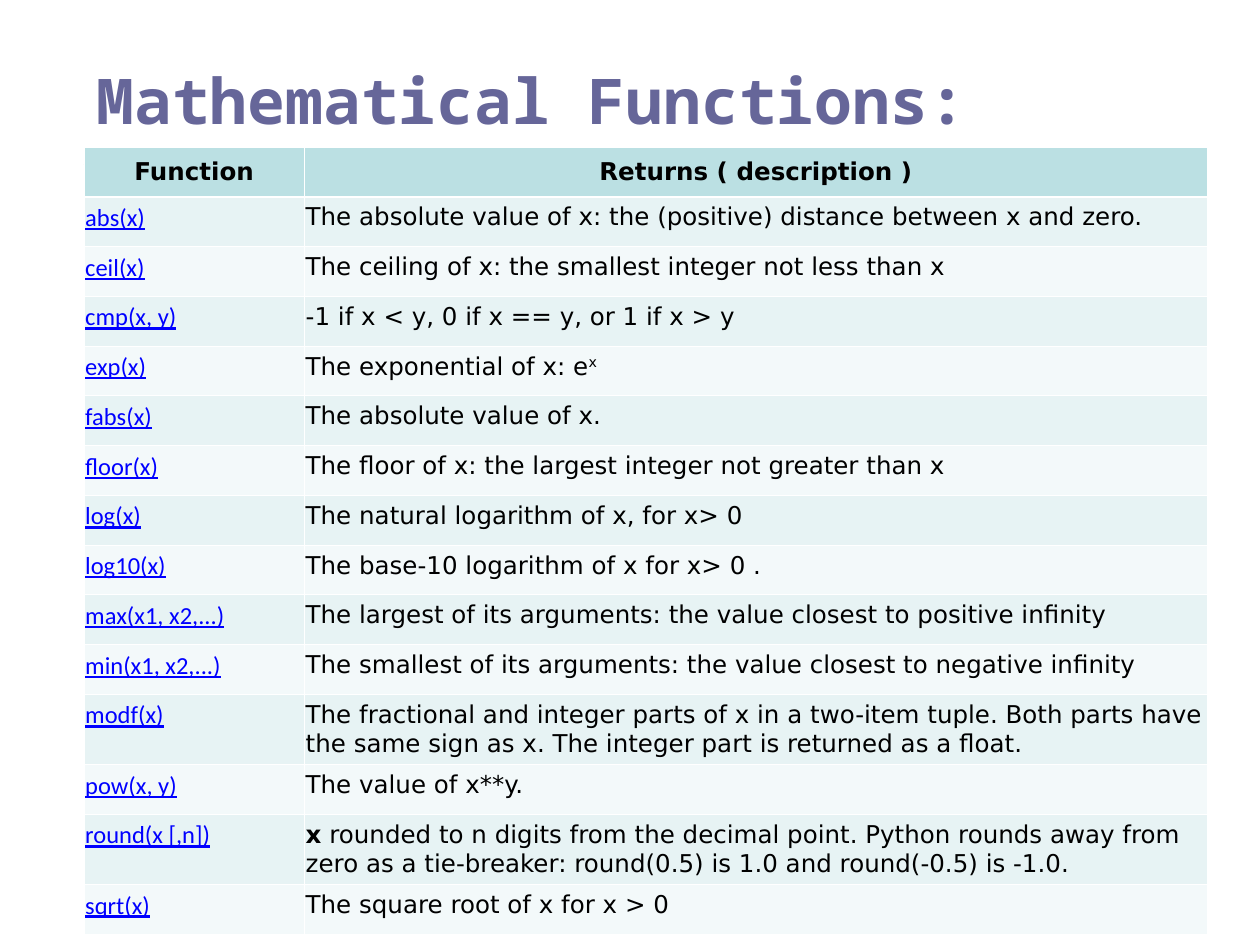
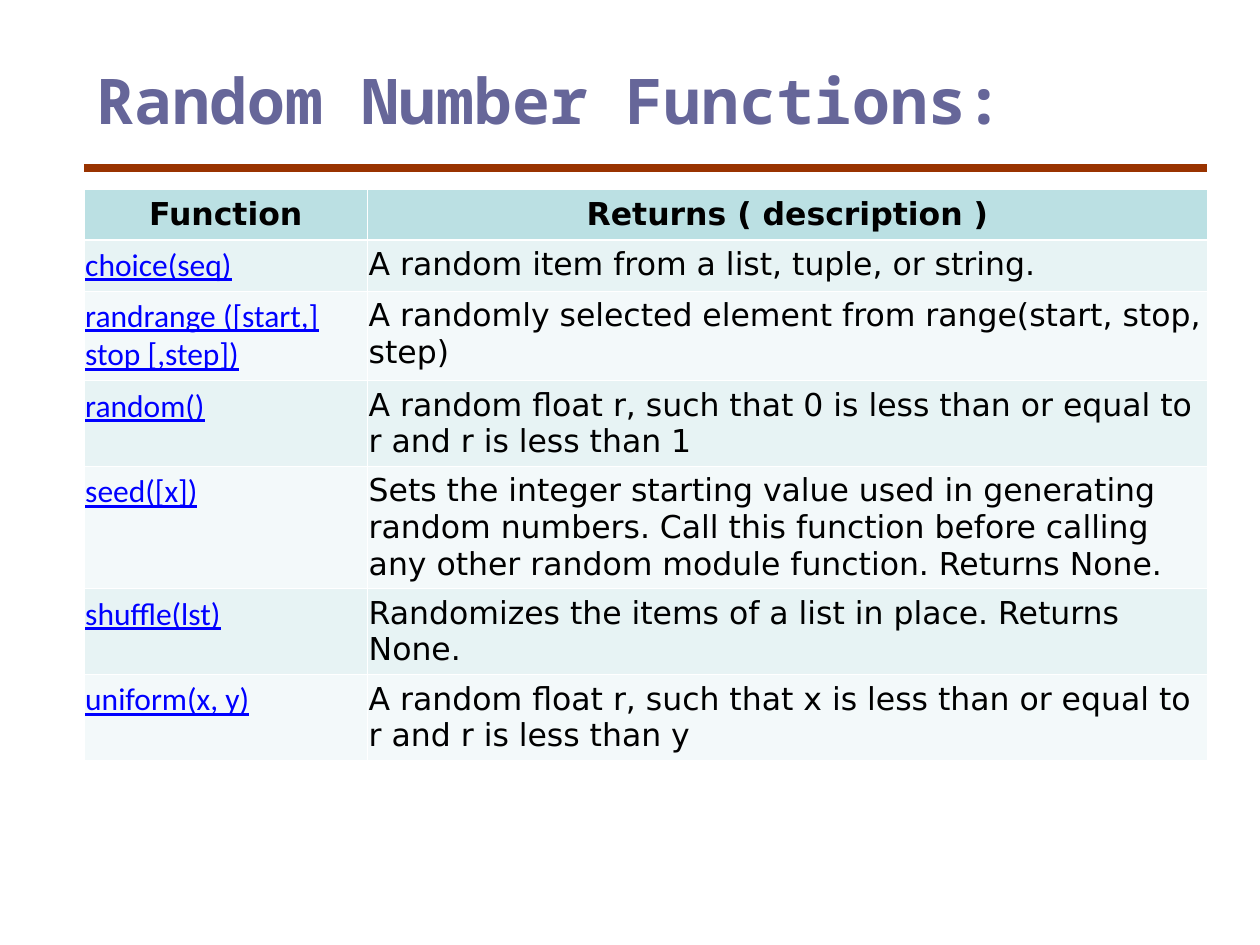
from collections import namedtuple
from dataclasses import dataclass

from lxml import etree
from pptx import Presentation
from pptx.dml.color import RGBColor
from pptx.enum.shapes import MSO_CONNECTOR
from pptx.enum.text import MSO_ANCHOR, MSO_AUTO_SIZE, PP_ALIGN
from pptx.oxml.ns import qn
from pptx.util import Inches, Pt

STRAIGHT = MSO_CONNECTOR.STRAIGHT
TOP, MIDDLE = MSO_ANCHOR.TOP, MSO_ANCHOR.MIDDLE
LEFT, CENTER = PP_ALIGN.LEFT, PP_ALIGN.CENTER
NO_FIT = MSO_AUTO_SIZE.NONE
TITLE_ONLY = 5

SLIDE_WIDTH, SLIDE_HEIGHT = Inches(10), Inches(7.5)
COLUMNS, ROWS = 120, 90
COLUMN, ROW = SLIDE_WIDTH // COLUMNS, SLIDE_HEIGHT // ROWS
LEFT_COLUMN, CONTENT_COLUMNS = 8, 107

Box = namedtuple("Box", "left top width height")
Entry = namedtuple("Entry", "function description lines", defaults=[1])
Topic = namedtuple("Topic", "title top height function_columns size entries")


@dataclass(frozen=True)
class Theme:
    title: str = "666699"
    rule: str = "993300"
    text: str = "000000"
    link: str = "0000FF"
    border: str = "FFFFFF"
    header: str = "BBE0E3"
    bands: tuple = ("E7F3F4", "F3F9FA")
    title_font: str = "Noto Sans Mono"
    text_font: str = "DejaVu Sans"
    link_font: str = "Calibri"
    title_size: int = 36
    rule_width: float = 4.5
    border_width: float = 0.45
    header_border_width: float = 1.47
    line_spacing: float = 1.22


THEME = Theme()

HEADINGS = ("Function", "Returns ( description )")

MATH = Topic("Mathematical Functions:", 14, 73, 21, 14, [
    Entry("abs(x)", "The absolute value of x: the (positive) distance between x and zero."),
    Entry("ceil(x)", "The ceiling of x: the smallest integer not less than x"),
    Entry("cmp(x, y)", "-1 if x < y, 0 if x == y, or 1 if x > y"),
    Entry("exp(x)", [("The exponential of x: e", {}), ("x", {"superscript": True})]),
    Entry("fabs(x)", "The absolute value of x."),
    Entry("floor(x)", "The floor of x: the largest integer not greater than x"),
    Entry("log(x)", "The natural logarithm of x, for x> 0"),
    Entry("log10(x)", "The base-10 logarithm of x for x> 0 ."),
    Entry("max(x1, x2,...)", "The largest of its arguments: the value closest to positive infinity"),
    Entry("min(x1, x2,...)", "The smallest of its arguments: the value closest to negative infinity"),
    Entry("modf(x)", "The fractional and integer parts of x in a two-item tuple. Both parts have "
          "the same sign as x. The integer part is returned as a float.", 2),
    Entry("pow(x, y)", "The value of x**y."),
    Entry("round(x [,n])", [
        ("x", {"bold": True}),
        (" rounded to n digits from the decimal point. Python rounds away from zero "
         "as a tie-breaker: round(0.5) is 1.0 and round(-0.5) is -1.0.", {})], 2),
    Entry("sqrt(x)", "The square root of x for x > 0"),
])

RANDOM = Topic("Random Number Functions:", 18, 50, 27, 18, [
    Entry("choice(seq)", "A random item from a list, tuple, or string."),
    Entry("randrange ([start,] stop [,step])",
          "A randomly selected element from range(start, stop, step)", 2),
    Entry("random()", "A random float r, such that 0 is less than or equal to r and r is less than 1", 2),
    Entry("seed([x])", "Sets the integer starting value used in generating random numbers. "
          "Call this function before calling any other random module function. Returns None.", 3),
    Entry("shuffle(lst)", "Randomizes the items of a list in place. Returns None.", 2),
    Entry("uniform(x, y)", "A random float r, such that x is less than or equal to r and r is less than y", 2),
])


def content_box(top, height):
    return Box(LEFT_COLUMN * COLUMN, top * ROW, CONTENT_COLUMNS * COLUMN, height * ROW)


def add_run(paragraph, text, size, font=THEME.text_font, color=THEME.text,
            bold=False, underline=False, superscript=False):
    run = paragraph.add_run()
    run.text = text
    run.font.name, run.font.size = font, Pt(size)
    run.font.bold, run.font.underline = bold, underline
    run.font.color.rgb = RGBColor.from_string(color)
    if superscript:
        run._r.get_or_add_rPr().set("baseline", "30000")


def place_title(slide, box, text):
    title = slide.shapes.title
    title.left, title.top, title.width, title.height = box
    frame = title.text_frame
    frame.word_wrap, frame.auto_size, frame.vertical_anchor = True, NO_FIT, MIDDLE
    frame.paragraphs[0].alignment = LEFT
    add_run(frame.paragraphs[0], text, THEME.title_size, THEME.title_font, THEME.title, bold=True)


def place_rule(slide, box):
    rule = slide.shapes.add_connector(STRAIGHT, box.left, box.top, box.left + box.width, box.top)
    rule.line.color.rgb = RGBColor.from_string(THEME.rule)
    rule.line.width = Pt(THEME.rule_width)
    etree.SubElement(rule._element.spPr, qn("a:effectLst"))


def set_borders(cell, top, bottom):
    properties = cell._tc.get_or_add_tcPr()
    thin = THEME.border_width
    for side, width in zip("LRTB", (thin, thin, top, bottom)):
        edge = etree.SubElement(properties, qn(f"a:ln{side}"), w=str(Pt(width)))
        fill = etree.SubElement(edge, qn("a:solidFill"))
        etree.SubElement(fill, qn("a:srgbClr"), val=THEME.border)


def fill_cell(cell, content, size, fill, alignment=LEFT, anchor=TOP,
              top=THEME.border_width, bottom=THEME.border_width, **style):
    set_borders(cell, top, bottom)
    cell.fill.solid()
    cell.fill.fore_color.rgb = RGBColor.from_string(fill)
    cell.margin_left = cell.margin_right = Inches(0.01)
    cell.margin_top = cell.margin_bottom = Inches(0.05)
    cell.vertical_anchor = anchor
    paragraph = cell.text_frame.paragraphs[0]
    paragraph.alignment = alignment
    runs = [(content, {})] if isinstance(content, str) else content
    for text, emphasis in runs:
        add_run(paragraph, text, size, **style, **emphasis)


def row_heights(box, topic):
    line = Pt(topic.size * THEME.line_spacing)
    lines = [1] + [entry.lines for entry in topic.entries]
    tall = sum(count * line for count in lines if count > 1)
    single = (box.height - tall) // lines.count(1)
    return [single if count == 1 else count * line for count in lines]


def place_function_table(slide, box, topic):
    table = slide.shapes.add_table(len(topic.entries) + 1, len(HEADINGS), *box).table
    table.horz_banding = False
    function_width = topic.function_columns * COLUMN
    table.columns[0].width = function_width
    table.columns[1].width = box.width - function_width
    for row, height in zip(table.rows, row_heights(box, topic)):
        row.height = height

    thick = THEME.header_border_width
    for column, heading in enumerate(HEADINGS):
        fill_cell(table.cell(0, column), heading, topic.size, THEME.header,
                  CENTER, MIDDLE, bottom=thick, bold=True)
    for index, entry in enumerate(topic.entries):
        band = THEME.bands[index % 2]
        top = THEME.border_width if index else thick
        fill_cell(table.cell(index + 1, 0), entry.function, topic.size, band, top=top,
                  font=THEME.link_font, color=THEME.link, underline=True)
        fill_cell(table.cell(index + 1, 1), entry.description, topic.size, band, top=top)


def add_topic_slide(presentation, topic):
    slide = presentation.slides.add_slide(presentation.slide_layouts[TITLE_ONLY])
    place_title(slide, content_box(5, 9), topic.title)
    place_rule(slide, content_box(16, 0))
    place_function_table(slide, content_box(topic.top, topic.height), topic)


def main():
    presentation = Presentation()
    presentation.slide_width, presentation.slide_height = SLIDE_WIDTH, SLIDE_HEIGHT
    for topic in (MATH, RANDOM):
        add_topic_slide(presentation, topic)
    presentation.save("out.pptx")


if __name__ == "__main__":
    main()
